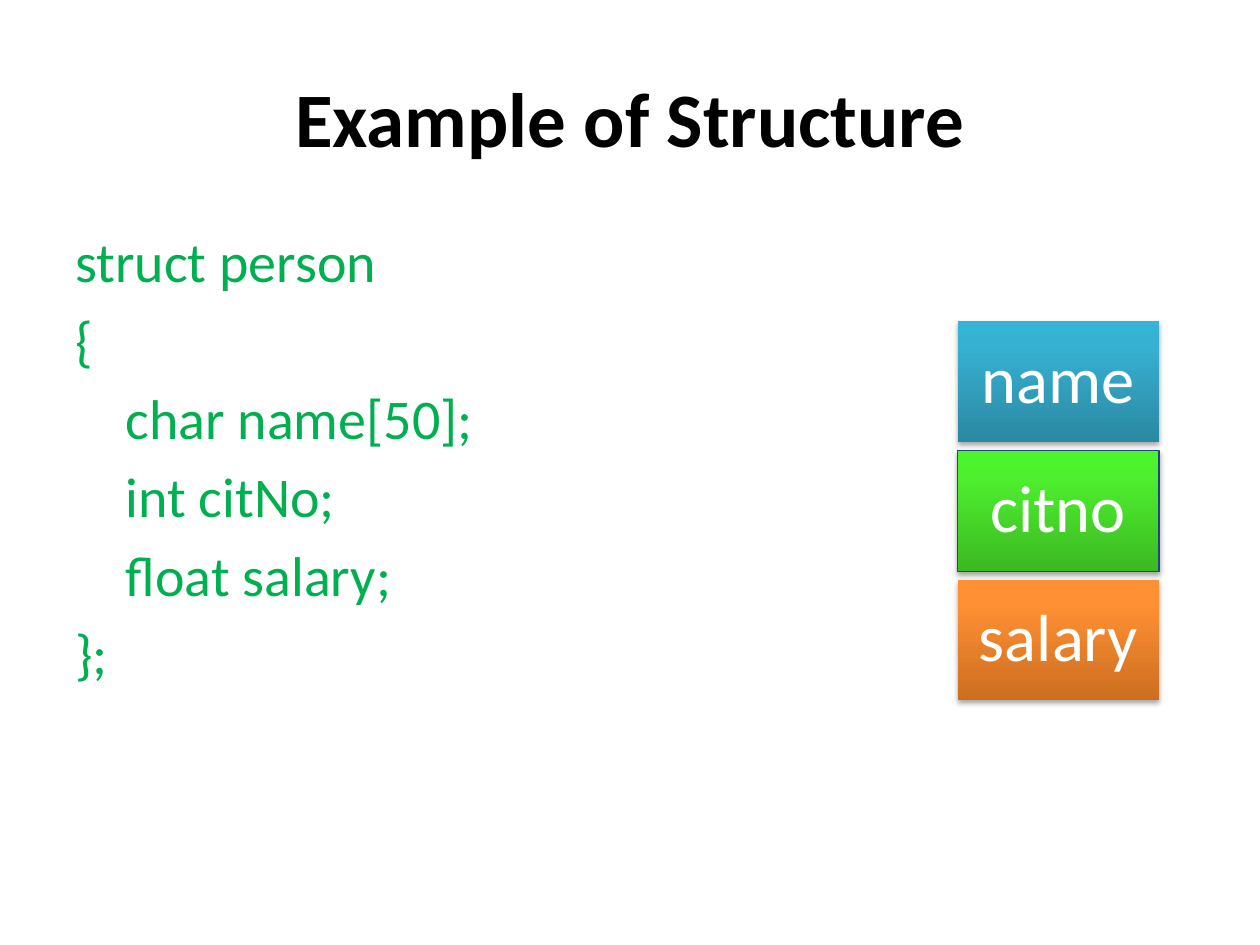
from lxml.etree import SubElement
from pptx import Presentation
from pptx.dml.color import RGBColor
from pptx.enum.shapes import MSO_SHAPE as SHAPE
from pptx.enum.text import MSO_ANCHOR as ANCHOR, PP_ALIGN as ALIGN
from pptx.oxml import parse_xml
from pptx.oxml.ns import nsdecls, qn
from pptx.util import Inches, Pt

COLS, ROWS = 100, 75  # grid cells of 0.1 inch

CODE = [
    (0, "struct person"),
    (0, "{"),
    (1, "char name[50];"),
    (1, "int citNo;"),
    (1, "float salary;"),
    (0, "};"),
]
# label, gradient from bottom to top, outline
FIELDS = [
    ("name", ("2A88A2", "37B1D2", "34B4D6"), None),
    ("citno", ("3CB923", "4EF02E", "4CF52A"), "1F497D"),
    ("salary", ("CC6E20", "FF9034", "FF9136"), None),
]


def rgb(color):
    return RGBColor.from_string(color)


class Deck:
    FONT = "Calibri"

    def __init__(self):
        self.prs = Presentation()
        self.prs.slide_width, self.prs.slide_height = Inches(10), Inches(7.5)
        self.slide = self.prs.slides.add_slide(self.prs.slide_layouts[6])

    def box(self, col, row, cols, rows):
        w, h = self.prs.slide_width / COLS, self.prs.slide_height / ROWS
        return [round(v) for v in (col * w, row * h, cols * w, rows * h)]

    def run(self, p, text, size, color, bold=False):
        r = p.add_run()
        r.text = text
        r.font.name, r.font.size, r.font.bold = self.FONT, Pt(size), bold
        r.font.color.rgb = rgb(color)

    def text_frame(self, *cells):
        tf = self.slide.shapes.add_textbox(*self.box(*cells)).text_frame
        tf.word_wrap = True
        return tf

    def title(self, text, *cells):
        tf = self.text_frame(*cells)
        tf.vertical_anchor = ANCHOR.MIDDLE
        p = tf.paragraphs[0]
        p.alignment = ALIGN.CENTER
        self.run(p, text, 44, "000000", bold=True)

    def code(self, lines, *cells):
        tf = self.text_frame(*cells)
        for i, (depth, text) in enumerate(lines):
            p = tf.add_paragraph() if i else tf.paragraphs[0]
            p.space_before = Pt(6.4)
            p._p.get_or_add_pPr().set("marL", str(Inches(0.4 * depth)))
            self.run(p, text, 32, "00B050")

    def gradient(self, sp, colors):
        """Fill upwards from the bottom edge, most of the change in the lower part."""
        grad = parse_xml(f'<a:gradFill {nsdecls("a")} rotWithShape="1"><a:gsLst/>'
                         '<a:lin ang="16200000" scaled="0"/></a:gradFill>')
        for pos, color in zip((0, 80, 100), colors):
            stop = SubElement(grad[0], qn("a:gs"), pos=str(pos * 1000))
            SubElement(stop, qn("a:srgbClr"), val=color)
        sp._element.spPr.find(qn("a:prstGeom")).addnext(grad)

    def soft_shadow(self, sp):
        sp.shadow.inherit = False
        effects = sp._element.spPr.find(qn("a:effectLst"))
        shadow = SubElement(effects, qn("a:outerShdw"), blurRad=str(Pt(3.1)),
                            dist=str(Pt(1.8)), dir="5400000", rotWithShape="0")
        color = SubElement(shadow, qn("a:srgbClr"), val="000000")
        SubElement(color, qn("a:alpha"), val="35000")

    def field(self, label, colors, outline, *cells):
        sp = self.slide.shapes.add_shape(SHAPE.RECTANGLE, *self.box(*cells))
        self.gradient(sp, colors)
        if outline:
            sp.line.color.rgb, sp.line.width = rgb(outline), Pt(0.75)
        else:
            sp.line.fill.background()
        self.soft_shadow(sp)
        tf = sp.text_frame
        tf.word_wrap, tf.vertical_anchor = True, ANCHOR.MIDDLE
        tf.margin_left = tf.margin_right = Inches(0.16)
        tf.margin_top = tf.margin_bottom = Inches(0.16)
        p = tf.paragraphs[0]
        p.alignment, p.line_spacing = ALIGN.CENTER, 0.9
        self.run(p, label, 38, "FFFFFF")


def main():
    deck = Deck()
    deck.title("Example of Structure", 5, 3, 90, 12.5)
    deck.code(CODE, 5, 17.5, 90, 49.5)
    for i, (label, colors, outline) in enumerate(FIELDS):
        deck.field(label, colors, outline, 76, 25.5 + 10.25 * i, 16, 9.6)
    deck.prs.save("out.pptx")


if __name__ == "__main__":
    main()
